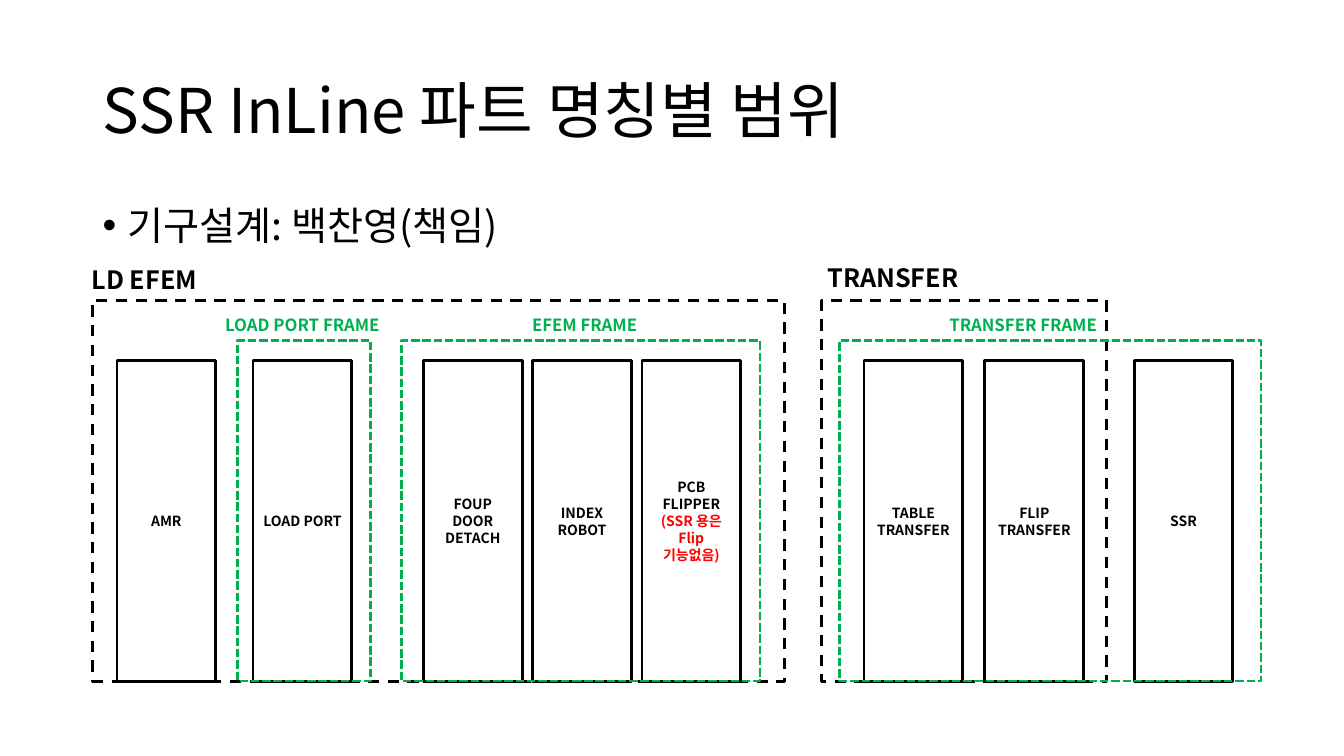
import pptx
import pptx.dml.color
import pptx.enum.dml
import pptx.enum.shapes
import pptx.enum.text
import pptx.oxml.ns
import pptx.util
import lxml.etree

ALIGN = pptx.enum.text.PP_ALIGN
ANCHOR = pptx.enum.text.MSO_ANCHOR
DASH = pptx.enum.dml.MSO_LINE
GROW = pptx.enum.text.MSO_AUTO_SIZE.SHAPE_TO_FIT_TEXT
RECTANGLE = pptx.enum.shapes.MSO_SHAPE.RECTANGLE

THEME = {
    "font": "Noto Sans CJK KR",
    "black": pptx.dml.color.RGBColor.from_string("000000"),
    "green": pptx.dml.color.RGBColor.from_string("00B050"),
    "red": pptx.dml.color.RGBColor.from_string("FF0000"),
    "title": pptx.util.Pt(44),
    "body": pptx.util.Pt(28),
    "zone": pptx.util.Pt(18),
    "frame": pptx.util.Pt(12),
    "unit": pptx.util.Pt(10),
    "line": pptx.util.Pt(2),
}

deck = pptx.Presentation()
deck.slide_width = pptx.util.Inches(13.33)
deck.slide_height = pptx.util.Inches(7.5)
page = deck.slides.add_slide(deck.slide_layouts[6])
column = deck.slide_width / 100
row = deck.slide_height / 100


def add_box(left, top, width, height, line_color=None, dash=None):
    area = [int(left * column), int(top * row), int(width * column), int(height * row)]
    if line_color is None:
        return page.shapes.add_textbox(*area)
    box = page.shapes.add_shape(RECTANGLE, *area)
    box.shadow.inherit = False
    box.fill.background()
    box.line.color.rgb = THEME[line_color]
    for name, value in {"width": THEME["line"], "dash_style": dash}.items():
        setattr(box.line, name, value)
    return box


def write(box, lines, size, bold=False, frame_format=None, para_format=None, bullet=None):
    frame = box.text_frame
    for name, value in {"word_wrap": True, **(frame_format or {})}.items():
        setattr(frame, name, value)
    for index, (text, color) in enumerate(lines):
        para = frame.add_paragraph() if index else frame.paragraphs[0]
        for name, value in (para_format or {}).items():
            setattr(para, name, value)
        if bullet:
            properties = para._p.get_or_add_pPr()
            indent = pptx.util.Inches(0.25)
            properties.set("marL", str(indent))
            properties.set("indent", str(-indent))
            for tag, key, value in (("a:buFont", "typeface", "Arial"), ("a:buChar", "char", bullet)):
                lxml.etree.SubElement(properties, pptx.oxml.ns.qn(tag)).set(key, value)
        span = para.add_run()
        span.text = text
        for name, value in {"name": THEME["font"], "size": THEME[size], "bold": bold}.items():
            setattr(span.font, name, value)
        span.font.color.rgb = THEME[color]
        east_asian = lxml.etree.SubElement(span._r.get_or_add_rPr(), pptx.oxml.ns.qn("a:ea"))
        east_asian.set("typeface", THEME["font"])


margin, content_width = 6.9, 86.25
floor = 90.1
zone_top, frame_top, unit_top = 39.73, 45.07, 47.73
unit_width, efem_left, efem_step = 7.35, 31.5, 8.13

write(add_box(margin, 5.33, content_width, 19.33),
      [("SSR InLine 파트 명칭별 범위", "black")], "title",
      frame_format={"vertical_anchor": ANCHOR.MIDDLE}, para_format={"line_spacing": 0.9})
write(add_box(margin, 26.67, content_width, 63.47),
      [("기구설계: 백찬영(책임)", "black")], "body",
      para_format={"line_spacing": 0.9}, bullet="•")

zones = [
    ("LD EFEM", margin, 51.45, 6.08, 34.27, 10.13),
    ("TRANSFER", 61.13, 21.23, 60.83, 34, 12.53),
]
for label, left, width, label_left, label_top, label_width in zones:
    add_box(left, zone_top, width, floor - zone_top, "black", DASH.DASH)
    write(add_box(label_left, label_top, label_width, 5.33), [(label, "black")], "zone", True,
          frame_format={"auto_size": GROW})

units = [
    (8.7, [("AMR", "black")]),
    (18.83, [("LOAD PORT", "black")]),
    (efem_left, [("FOUP DOOR DETACH", "black")]),
    (efem_left + efem_step, [("INDEX ROBOT", "black")]),
    (efem_left + 2 * efem_step,
     [("PCB FLIPPER", "black"), ("(SSR 용은 Flip", "red"), ("기능없음)", "red")]),
    (64.28, [("TABLE TRANSFER", "black")]),
    (73.28, [("FLIP TRANSFER", "black")]),
    (84.38, [("SSR", "black")]),
]
for left, lines in units:
    write(add_box(left, unit_top, unit_width, floor - unit_top, "black"), lines, "unit", True,
          frame_format={"vertical_anchor": ANCHOR.MIDDLE}, para_format={"alignment": ALIGN.CENTER})

frames = [
    ("LOAD PORT FRAME", 17.7, 9.9, 14.25),
    ("EFEM FRAME", 29.85, 26.7, 35.25),
    ("TRANSFER FRAME", 62.48, 31.35, 67.88),
]
for label, left, width, label_left in frames:
    add_box(left, frame_top, width, floor - frame_top, "green", DASH.SQUARE_DOT)
    write(add_box(label_left, 41, 16.5, 4), [(label, "green")], "frame", True,
          frame_format={"auto_size": GROW}, para_format={"alignment": ALIGN.CENTER})

deck.save("out.pptx")
